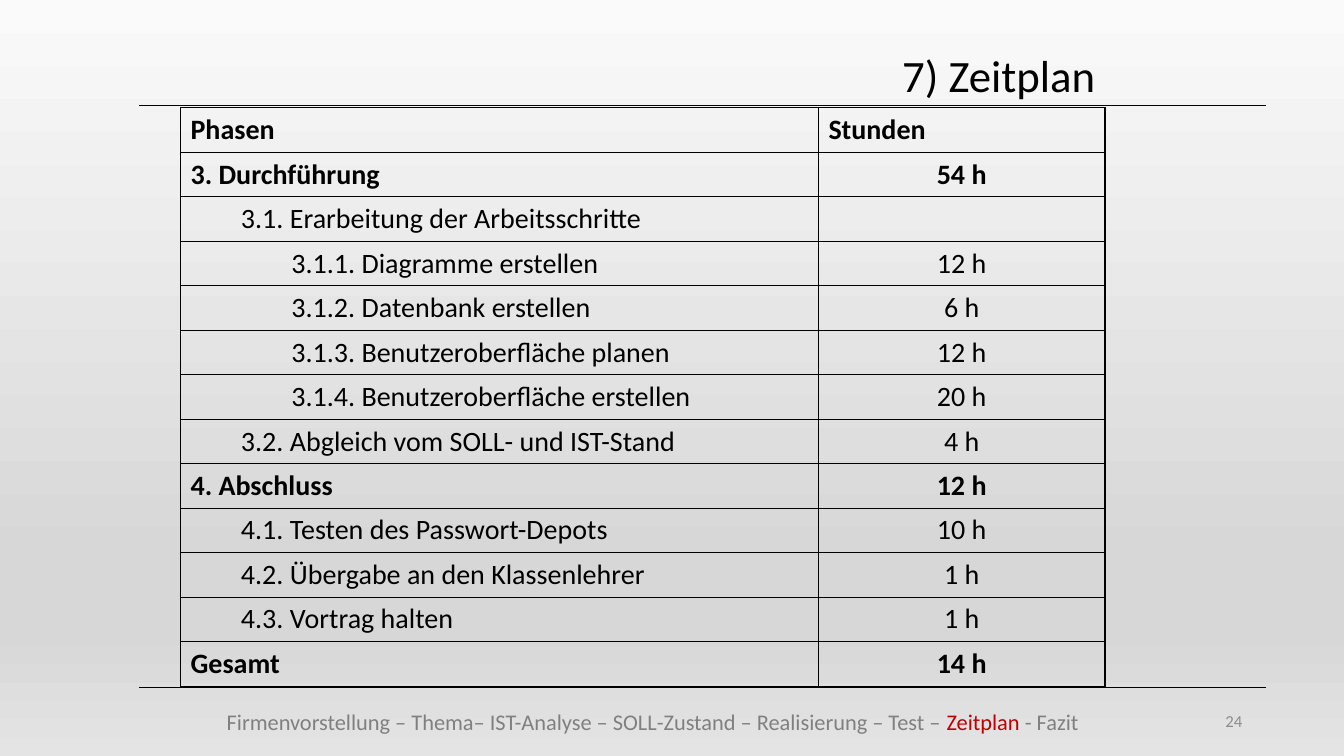
from dataclasses import dataclass

from lxml import etree
from pptx import Presentation
from pptx.dml.color import RGBColor
from pptx.enum.shapes import MSO_CONNECTOR
from pptx.enum.text import MSO_ANCHOR, PP_ALIGN
from pptx.oxml.ns import qn
from pptx.util import Inches, Pt

STRAIGHT = MSO_CONNECTOR.STRAIGHT
MIDDLE, TOP = MSO_ANCHOR.MIDDLE, MSO_ANCHOR.TOP
LEFT, CENTER, RIGHT = PP_ALIGN.LEFT, PP_ALIGN.CENTER, PP_ALIGN.RIGHT


@dataclass(frozen=True)
class Theme:
    font: str = "Calibri"
    ink: str = "000000"
    muted: str = "808080"
    number: str = "8C8C8C"
    accent: str = "C00000"
    title_size: int = 32
    table_size: int = 20
    footer_size: int = 16
    number_size: int = 12
    rule_width: float = 0.5
    border_width: int = 1
    backdrop: tuple = ((0, "FAFAFA"), (74, "D7D7D7"), (83, "D7D7D7"), (100, "E4E4E4"))


THEME = Theme()
WIDTH, HEIGHT = 13.33, 7.5
INDENT = 0.5
COLUMN_SHARES = (0.69, 0.31)

SCHEDULE = (
    (0, "Phasen", "Stunden"),
    (0, "3. Durchführung", "54 h"),
    (1, "3.1. Erarbeitung der Arbeitsschritte", ""),
    (2, "3.1.1. Diagramme erstellen", "12 h"),
    (2, "3.1.2. Datenbank erstellen", "6 h"),
    (2, "3.1.3. Benutzeroberfläche planen", "12 h"),
    (2, "3.1.4. Benutzeroberfläche erstellen", "20 h"),
    (1, "3.2. Abgleich vom SOLL- und IST-Stand", "4 h"),
    (0, "4. Abschluss", "12 h"),
    (1, "4.1. Testen des Passwort-Depots", "10 h"),
    (1, "4.2. Übergabe an den Klassenlehrer", "1 h"),
    (1, "4.3. Vortrag halten", "1 h"),
    (0, "Gesamt", "14 h"),
)

AGENDA = (
    ("Firmenvorstellung – Thema– IST-Analyse – SOLL-Zustand – Realisierung – Test – ", THEME.muted),
    ("Zeitplan", THEME.accent),
    (" - Fazit", THEME.muted),
)


def style(font, size, color, bold=False):
    font.name = THEME.font
    font.size = Pt(size)
    font.bold = bold
    font.color.rgb = RGBColor.from_string(color)


def paint_backdrop(page):
    fill = page.background.fill
    fill.gradient()
    fill.gradient_angle = 270
    stops = page.element.find(".//" + qn("a:gsLst"))
    for stop in list(stops):
        stops.remove(stop)
    for share, color in THEME.backdrop:
        stop = etree.SubElement(stops, qn("a:gs"), pos=str(share * 1000))
        etree.SubElement(stop, qn("a:srgbClr"), val=color)


def add_rule(page, left, right, y):
    rule = page.shapes.add_connector(STRAIGHT, Inches(left), Inches(y), Inches(right), Inches(y))
    rule.line.color.rgb = RGBColor.from_string(THEME.ink)
    rule.line.width = Pt(THEME.rule_width)
    etree.SubElement(rule.element.spPr, qn("a:effectLst"))


def add_text(page, box, spans, size, align=LEFT, anchor=TOP):
    frame = page.shapes.add_textbox(*map(Inches, box)).text_frame
    frame.word_wrap = True
    frame.vertical_anchor = anchor
    para = frame.paragraphs[0]
    para.alignment = align
    for text, color in spans:
        span = para.add_run()
        span.text = text
        style(span.font, size, color)


def draw_borders(cell):
    properties = cell._tc.get_or_add_tcPr()
    for position, side in enumerate(("a:lnL", "a:lnR", "a:lnT", "a:lnB")):
        border = etree.Element(qn(side), w=str(Pt(THEME.border_width)))
        fill = etree.SubElement(border, qn("a:solidFill"))
        etree.SubElement(fill, qn("a:srgbClr"), val=THEME.ink)
        properties.insert(position, border)


def fill_cell(cell, text, bold, align, level=0):
    cell.fill.background()
    draw_borders(cell)
    para = cell.text_frame.paragraphs[0]
    para.text = text
    para.alignment = align
    para.level = level
    if level:
        para._p.get_or_add_pPr().set("marL", str(Inches(level * INDENT)))
    style(para.font, THEME.table_size, THEME.ink, bold)
    for span in para.runs:
        style(span.font, THEME.table_size, THEME.ink, bold)


def add_schedule(page, box):
    left, top, width, height = box
    frame = page.shapes.add_table(len(SCHEDULE), len(COLUMN_SHARES), *map(Inches, box))
    table = frame.table
    table.first_row = table.horz_banding = False
    for column, share in zip(table.columns, COLUMN_SHARES):
        column.width = Inches(width * share)
    for index, (level, phase, hours) in enumerate(SCHEDULE):
        table.rows[index].height = Inches(height / len(SCHEDULE))
        bold = level == 0
        fill_cell(table.cell(index, 0), phase, bold, LEFT, level)
        fill_cell(table.cell(index, 1), hours, bold, CENTER if index else LEFT)


def add_footer(page, box):
    left, top, width, height = box
    add_text(page, (left + 0.77, top + 0.16, 10.71, 0.37), AGENDA, THEME.footer_size)
    add_text(page, (left + width - 3.14, top + 0.13, 3, 0.4),
             [("24", THEME.number)], THEME.number_size, RIGHT, MIDDLE)


def build_schedule_page(page, box):
    left, top, width, height = box
    paint_backdrop(page)
    for y in (top, top + height):
        add_rule(page, left, left + width, y)
    add_text(page, (left + 7.47, top - 0.63, 4.16, 0.64), [("7) Zeitplan", THEME.ink)], THEME.title_size)
    add_schedule(page, (left + 0.41, top + 0.02, 9.17, height - 0.03))
    add_footer(page, (left, top + height, width, HEIGHT - top - height))


def main():
    deck = Presentation()
    deck.slide_width, deck.slide_height = Inches(WIDTH), Inches(HEIGHT)
    page = deck.slides.add_slide(deck.slide_layouts[6])
    build_schedule_page(page, (1.38, 1.05, 11.18, 5.77))
    deck.save("out.pptx")


if __name__ == "__main__":
    main()
